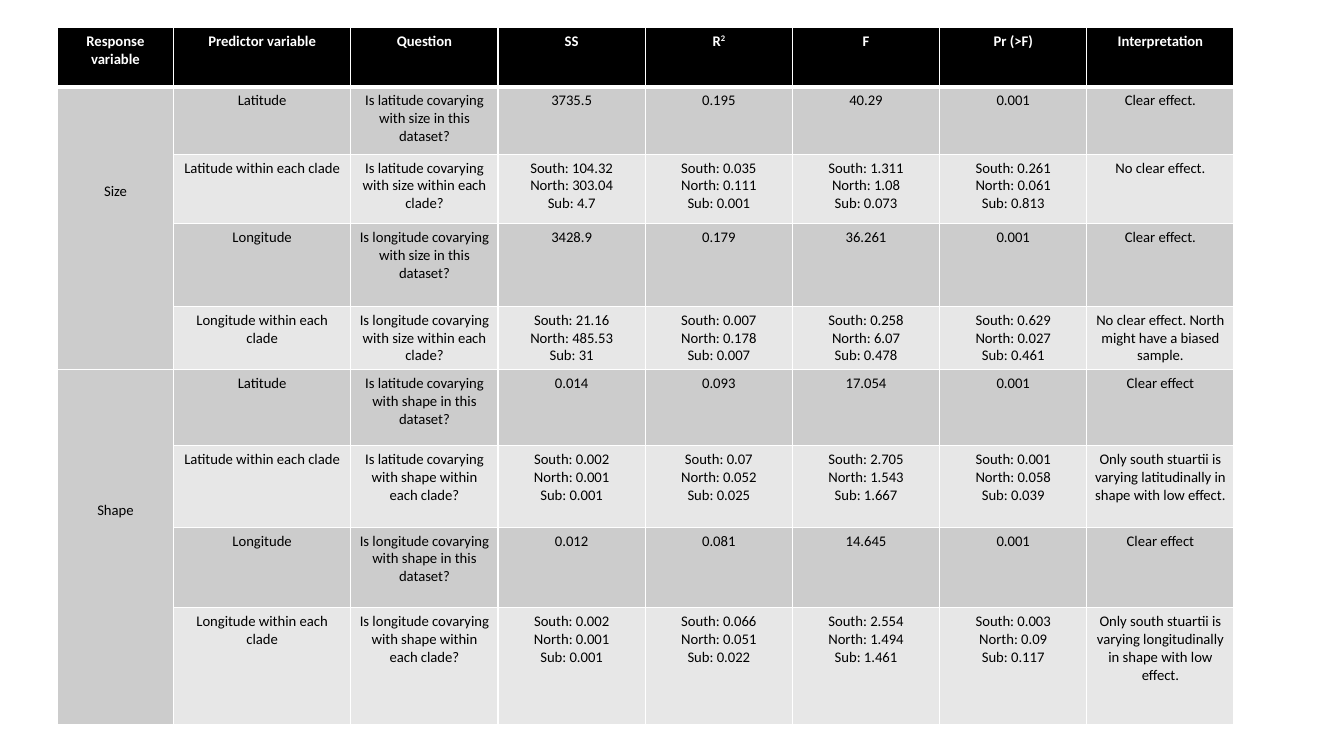
from lxml import etree
from pptx import Presentation
from pptx.dml.color import RGBColor
from pptx.enum.text import PP_ALIGN
from pptx.oxml.ns import qn
from pptx.util import Inches, Pt

CENTER = PP_ALIGN.CENTER
BLACK = RGBColor(0x00, 0x00, 0x00)
WHITE = RGBColor(0xFF, 0xFF, 0xFF)
DARK_BAND = RGBColor(0xCC, 0xCC, 0xCC)
LIGHT_BAND = RGBColor(0xE7, 0xE7, 0xE7)

FONT_NAME = "Calibri"
FONT_SIZE = Pt(10.5)
LINE_HEIGHT = 0.18
TOP_MARGIN = 0.05
SIDE_MARGIN = 0.08

COLUMN_WIDTHS = [1.15, 1.76] + [1.46] * 6
ROW_HEIGHTS = [0.59, 0.67, 0.69, 0.82, 0.62, 0.75, 0.81, 0.80, 1.16]
HEADERS = ["Response variable", "Predictor variable", "Question", "SS", "R2", "F",
           "Pr (>F)", "Interpretation"]
CLADES = ["South", "North", "Sub"]
PREDICTORS = [("Latitude", False), ("Latitude", True),
              ("Longitude", False), ("Longitude", True)]

# Each result: SS, R², F, Pr and the interpretation; lists hold one value per clade.
RESULTS = {
    "Size": [
        ("3735.5", "0.195", "40.29", "0.001", "Clear effect."),
        (["104.32", "303.04", "4.7"], ["0.035", "0.111", "0.001"],
         ["1.311", "1.08", "0.073"], ["0.261", "0.061", "0.813"],
         "No clear effect."),
        ("3428.9", "0.179", "36.261", "0.001", "Clear effect."),
        (["21.16", "485.53", "31"], ["0.007", "0.178", "0.007"],
         ["0.258", "6.07", "0.478"], ["0.629", "0.027", "0.461"],
         "No clear effect. North might have a biased sample."),
    ],
    "Shape": [
        ("0.014", "0.093", "17.054", "0.001", "Clear effect"),
        (["0.002", "0.001", "0.001"], ["0.07", "0.052", "0.025"],
         ["2.705", "1.543", "1.667"], ["0.001", "0.058", "0.039"],
         "Only south stuartii is varying latitudinally in shape with low effect."),
        ("0.012", "0.081", "14.645", "0.001", "Clear effect"),
        (["0.002", "0.001", "0.001"], ["0.066", "0.051", "0.022"],
         ["2.554", "1.494", "1.461"], ["0.003", "0.09", "0.117"],
         "Only south stuartii is varying longitudinally in shape with low effect."),
    ],
}
LABEL_LINES_ABOVE = {"Size": 5, "Shape": 7}


def add_borders(cell, top, bottom):
    """Draw white borders, with top and bottom widths in points."""
    properties = cell._tc.get_or_add_tcPr()
    for side, width in (("L", 1), ("R", 1), ("T", top), ("B", bottom)):
        line = etree.SubElement(properties, qn(f"a:ln{side}"), w=str(Pt(width)))
        fill = etree.SubElement(line, qn("a:solidFill"))
        etree.SubElement(fill, qn("a:srgbClr"), val=str(WHITE))


def style_cell(cell, row, fill_color):
    header = row == 0
    add_borders(cell, top=3 if row == 1 else 1, bottom=3 if header else 1)
    cell.fill.solid()
    cell.fill.fore_color.rgb = fill_color
    cell.margin_left = cell.margin_right = Inches(SIDE_MARGIN)
    for paragraph in cell.text_frame.paragraphs:
        paragraph.alignment = CENTER
        font = paragraph.font
        font.name, font.size, font.bold = FONT_NAME, FONT_SIZE, header
        font.color.rgb = WHITE if header else BLACK


def write_header(cell, text):
    if text != "R2":
        cell.text = text
        return
    paragraph = cell.text_frame.paragraphs[0]
    paragraph.add_run().text = "R"
    exponent = paragraph.add_run()
    exponent.text = "2"
    exponent._r.get_or_add_rPr().set("baseline", "30000")


def statistic_text(value):
    if isinstance(value, str):
        return value
    return "\n".join(f"{clade}: {number}" for clade, number in zip(CLADES, value))


def body_texts(response, predictor, by_clade, result):
    """Texts of one body row, from the predictor column rightwards."""
    scope = "within each clade" if by_clade else "in this dataset"
    question = f"Is {predictor.lower()} covarying with {response.lower()} {scope}?"
    name = f"{predictor} within each clade" if by_clade else predictor
    return [name, question] + [statistic_text(value) for value in result]


def add_results_table(slide, left, top):
    frame = slide.shapes.add_table(
        len(ROW_HEIGHTS), len(COLUMN_WIDTHS), Inches(left), Inches(top),
        Inches(sum(COLUMN_WIDTHS)), Inches(sum(ROW_HEIGHTS)))
    table = frame.table
    for column, width in zip(table.columns, COLUMN_WIDTHS):
        column.width = Inches(width)
    for table_row, height in zip(table.rows, ROW_HEIGHTS):
        table_row.height = Inches(height)

    for column, text in enumerate(HEADERS):
        write_header(table.cell(0, column), text)
        style_cell(table.cell(0, column), 0, BLACK)

    row = 1
    for response, results in RESULTS.items():
        label = table.cell(row, 0)
        label.merge(table.cell(row + len(results) - 1, 0))
        label.text = response
        label.margin_top = Inches(TOP_MARGIN + LABEL_LINES_ABOVE[response] * LINE_HEIGHT)
        style_cell(label, row, DARK_BAND)
        for (predictor, by_clade), result in zip(PREDICTORS, results):
            texts = body_texts(response, predictor, by_clade, result)
            for column, text in enumerate(texts, start=1):
                cell = table.cell(row, column)
                cell.text = text
                style_cell(cell, row, LIGHT_BAND if by_clade else DARK_BAND)
            row += 1


def main():
    deck = Presentation()
    deck.slide_width, deck.slide_height = Inches(13.33), Inches(7.5)
    slide = deck.slides.add_slide(deck.slide_layouts[6])
    add_results_table(slide, left=0.57, top=0.27)
    deck.save("out.pptx")


if __name__ == "__main__":
    main()
